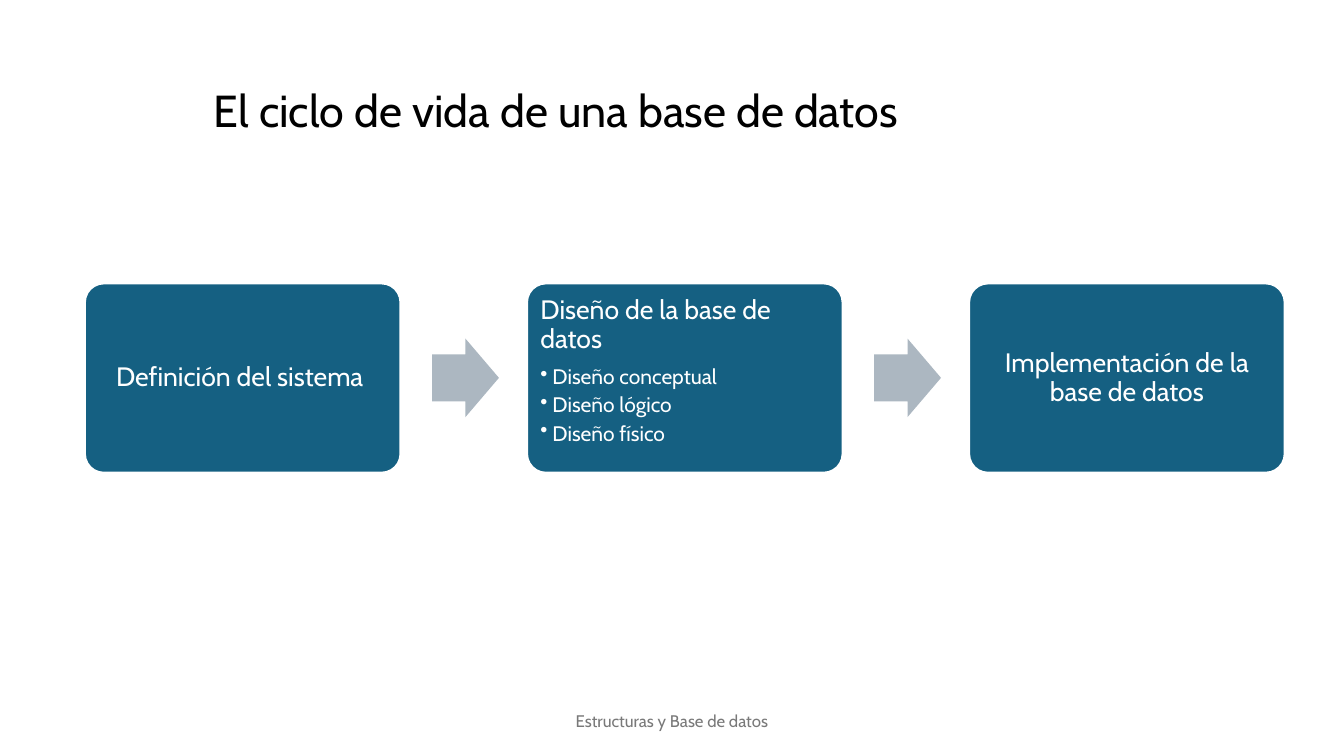
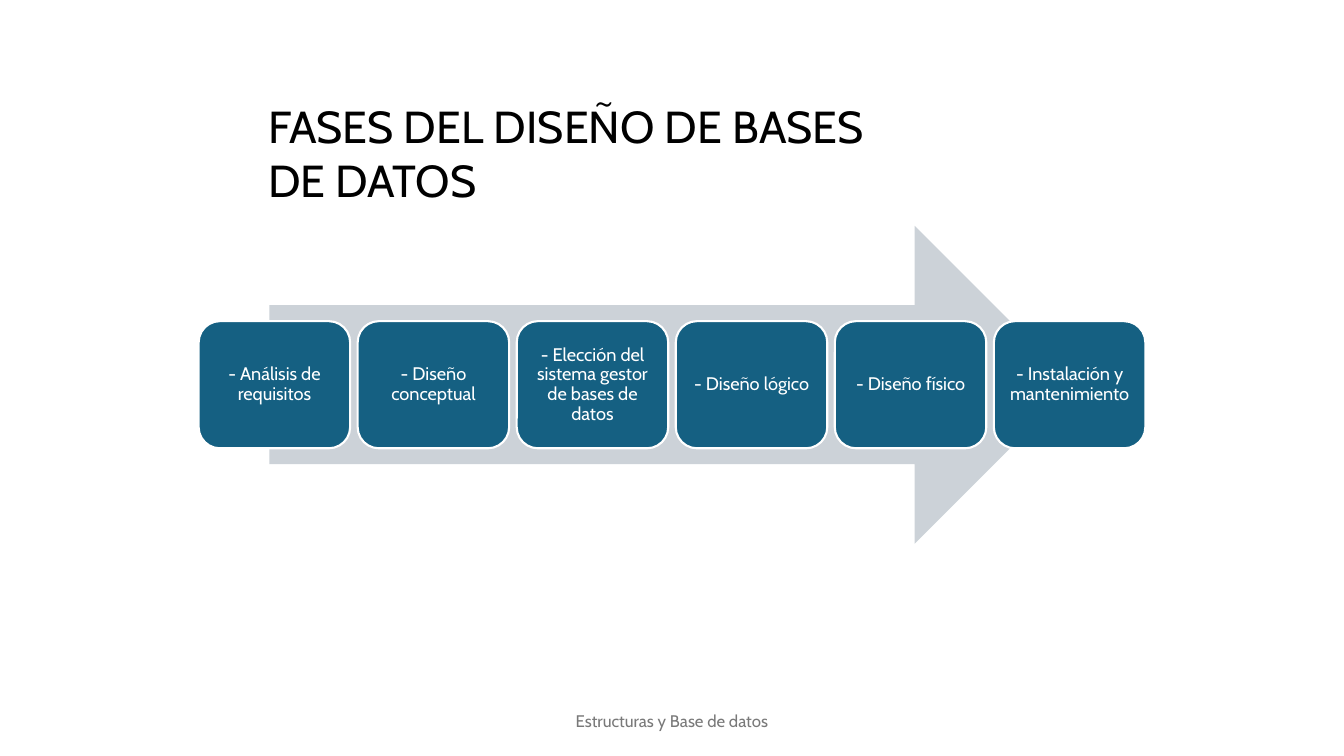
from lxml import etree
from pptx import Presentation
from pptx.dml.color import RGBColor
from pptx.enum import shapes, text
from pptx.oxml import ns
from pptx.util import Pt

BLUE = RGBColor(0x15, 0x60, 0x82)
STEEL = RGBColor(0xAC, 0xB7, 0xC1)
PALE = RGBColor(0xCC, 0xD2, 0xD8)
GRAY = RGBColor(0x79, 0x79, 0x79)
WHITE = RGBColor(0xFF, 0xFF, 0xFF)
BLACK = RGBColor(0, 0, 0)
FONT = "Cabin"
LEFT, MID = text.PP_ALIGN.LEFT, text.PP_ALIGN.CENTER
TOP, HALF = text.MSO_ANCHOR.TOP, text.MSO_ANCHOR.MIDDLE
ROUND = shapes.MSO_SHAPE.ROUNDED_RECTANGLE
ARROW = shapes.MSO_SHAPE.RIGHT_ARROW


def write(frame, words, size, color, align=LEFT, anchor=TOP,
          inset=None, lead=1.0, after=0, bullet=False):
    """Fill the first paragraph, or add one when the frame has text."""
    para = frame.add_paragraph() if frame.text else frame.paragraphs[0]
    frame.word_wrap = True
    frame.auto_size = text.MSO_AUTO_SIZE.NONE
    frame.vertical_anchor = anchor
    if inset is not None:
        frame.margin_left = frame.margin_right = Pt(inset)
        frame.margin_top = frame.margin_bottom = Pt(inset)
    para.alignment = align
    para.line_spacing = lead
    para.space_after = Pt(after)
    if bullet:
        props = para._p.get_or_add_pPr()
        props.set("marL", str(Pt(8.6)))
        props.set("indent", str(-Pt(8.6)))
        etree.SubElement(props, ns.qn("a:buChar")).set("char", "•")
    run = para.add_run()
    run.text = words
    run.font.name, run.font.size = FONT, Pt(size)
    run.font.color.rgb = color


def draw(slide, kind, place, fill, edge=None, adjust=()):
    """Add a flat preset shape; place is left, top, width, height."""
    item = slide.shapes.add_shape(kind, *map(Pt, place))
    item.shadow.inherit = False
    item.fill.solid()
    item.fill.fore_color.rgb = fill
    if edge is None:
        item.line.fill.background()
    else:
        item.line.color.rgb = edge
        item.line.width = Pt(1.5)
    for i, value in enumerate(adjust):
        item.adjustments[i] = value
    return item


deck = Presentation()
deck.slide_width, deck.slide_height = Pt(960), Pt(540)

# Titles and footers
heads = [
    ("El ciclo de vida de una base de datos", (145.4, 55.4, 634.3, 46)),
    ("FASES DEL DISEÑO DE BASES DE DATOS", (184.3, 67, 479.5, 85)),
]
pages = []
for words, place in heads:
    page = deck.slides.add_slide(deck.slide_layouts[5])
    title = page.shapes.title
    title.left, title.top, title.width, title.height = map(Pt, place)
    write(title.text_frame, words, 32, BLACK)
    foot = page.shapes.add_textbox(Pt(318), Pt(500.5), Pt(324), Pt(28.8))
    write(foot.text_frame, "Estructuras y Base de datos", 12, GRAY,
          align=MID, anchor=HALF)
    pages.append(page)
cycle, phases = pages

# Life cycle: three stages with arrows between them
stages = [
    ("Definición del sistema ", []),
    ("Diseño de la base de datos",
     ["Diseño conceptual", "Diseño lógico", "Diseño físico"]),
    ("Implementación de la base de datos", []),
]
for i, (name, parts) in enumerate(stages):
    left = 60.6 + i * 315.8
    card = draw(cycle, ROUND, (left, 202.4, 225.5, 135.3), BLUE, WHITE, [0.1])
    align, anchor = (LEFT, TOP) if parts else (MID, HALF)
    write(card.text_frame, name, 19, WHITE, align=align, anchor=anchor,
          inset=5.7, lead=0.9, after=6.65)
    for part in parts:
        write(card.text_frame, part, 15, WHITE, after=2.25, bullet=True)
    if i < len(stages) - 1:
        draw(cycle, ARROW, (left + 248, 241.9, 47.8, 56), STEEL,
             adjust=[0.6, 0.5])

# Design phases: a row of steps over one wide arrow
draw(phases, ARROW, (192.5, 161.3, 574.4, 227), PALE)
steps = ["Análisis de requisitos", "Diseño conceptual",
         "Elección del sistema gestor de bases de datos",
         "Diseño lógico", "Diseño físico", "Instalación y mantenimiento"]
for i, step in enumerate(steps):
    card = draw(phases, ROUND, (141.9 + i * 113.6, 229.4, 108.2, 90.8),
                BLUE, WHITE)
    write(card.text_frame, "- " + step, 13, WHITE, align=MID, anchor=HALF,
          inset=3.9, lead=0.9)

deck.save("out.pptx")
